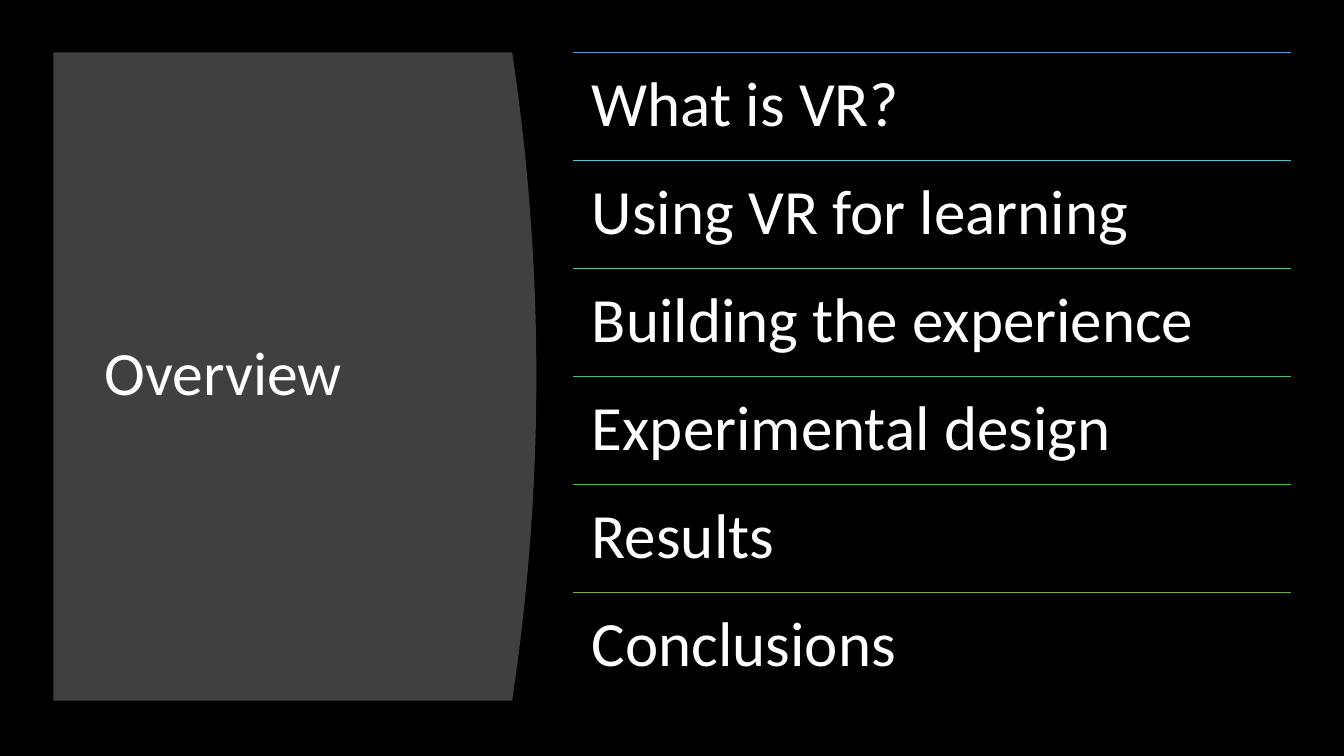
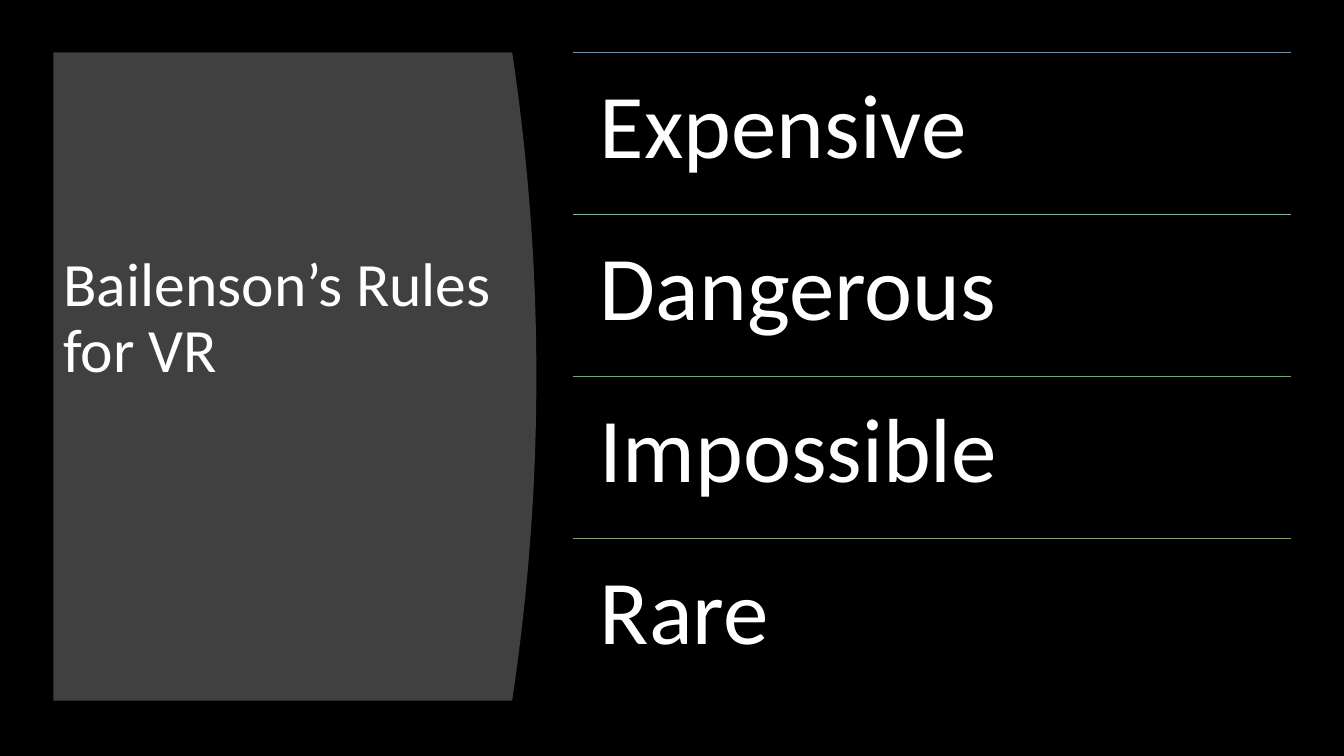
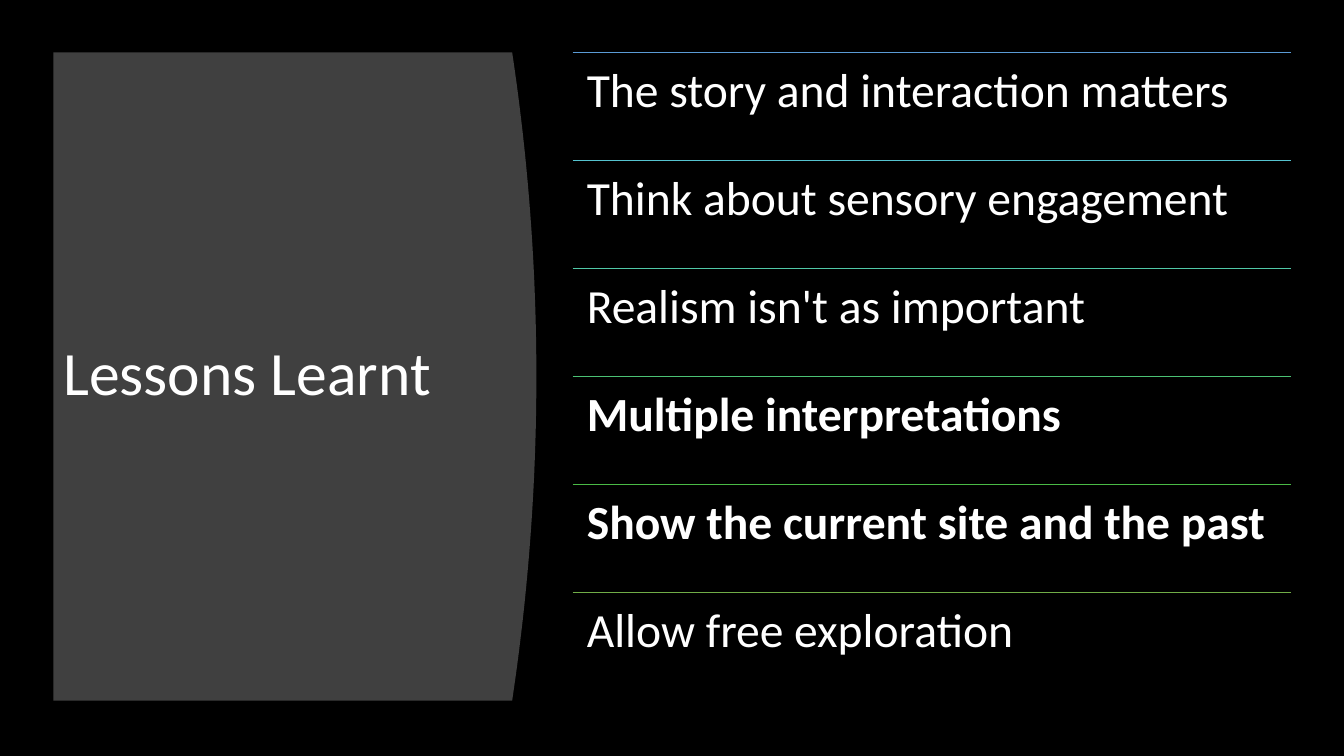
from lxml.etree import SubElement
from pptx import Presentation
from pptx.dml.color import RGBColor
from pptx.enum.shapes import MSO_CONNECTOR
from pptx.enum.text import MSO_ANCHOR
from pptx.oxml.ns import qn
from pptx.util import Inches, Pt

BLACK = RGBColor(0x00, 0x00, 0x00)
WHITE = RGBColor(0xFF, 0xFF, 0xFF)
GREY = RGBColor(0x40, 0x40, 0x40)
BLUE = RGBColor(0x5B, 0x9B, 0xD5)
CYAN = RGBColor(0x55, 0xC3, 0xCF)
TEAL = RGBColor(0x50, 0xC8, 0xA7)
MINT = RGBColor(0x4B, 0xC1, 0x74)
LEAF = RGBColor(0x4A, 0xBA, 0x46)
AQUA = RGBColor(0x52, 0xCA, 0xB8)
JADE = RGBColor(0x49, 0xBF, 0x64)
GREEN = RGBColor(0x70, 0xAD, 0x47)

SIX = [BLUE, CYAN, TEAL, MINT, LEAF, GREEN]
FOUR = [BLUE, AQUA, JADE, GREEN]

SLIDES = [
    {"title": "Overview", "box": (0.94, 1.11, 3.74, 5.24),
     "size": 45, "inset": 0.19, "rules": SIX, "bold": (),
     "rows": ["What is VR?", "Using VR for learning", "Building the experience",
              "Experimental design", "Results", "Conclusions"]},
    {"title": "Bailenson’s Rules for VR", "box": (0.53, 0.55, 5.15, 5.24),
     "size": 65, "inset": 0.27, "rules": FOUR, "bold": (),
     "rows": ["Expensive", "Dangerous", "Impossible", "Rare"]},
    {"title": "Lessons Learnt", "box": (0.53, 1.11, 4.57, 5.24),
     "size": 34, "inset": 0.14, "rules": SIX, "bold": (3, 4),
     "rows": ["The story and interaction matters", "Think about sensory engagement",
              "Realism isn't as important", "Multiple interpretations",
              "Show the current site and the past", "Allow free exploration"]},
]

TOP, TALL = 0.52, 6.43
PANEL_X, EDGE_X, BULGE = 0.53, 5.08, 0.24
LIST_X, LIST_W = 5.68, 7.12
STEPS = 40


def add_panel(slide):
    """Draw the grey panel whose right side bows out as a parabola."""
    edge = [(EDGE_X + BULGE * 4 * t * (1 - t), TOP + TALL * t)
            for t in (i / STEPS for i in range(STEPS + 1))]
    form = slide.shapes.build_freeform(Inches(PANEL_X), Inches(TOP))
    form.add_line_segments([(Inches(x), Inches(y))
                            for x, y in edge + [(PANEL_X, TOP + TALL)]])
    panel = form.convert_to_shape()
    panel.shadow.inherit = False
    panel.fill.solid()
    panel.fill.fore_color.rgb = GREY
    panel.line.fill.background()


def add_text(slide, text, box, size, bold=False, **frame):
    area = slide.shapes.add_textbox(*map(Inches, box)).text_frame
    for name, value in {"word_wrap": True, **frame}.items():
        setattr(area, name, value)
    para = area.paragraphs[0]
    para.line_spacing = 0.9
    run = para.add_run()
    run.text = text
    font = {"name": "Calibri", "size": Pt(size), "bold": bold}
    for name, value in font.items():
        setattr(run.font, name, value)
    run.font.color.rgb = WHITE


def add_rule(slide, y, color):
    rule = slide.shapes.add_connector(
        MSO_CONNECTOR.STRAIGHT,
        *map(Inches, (LIST_X, y, LIST_X + LIST_W, y)))
    rule.line.color.rgb = color
    rule.line.width = Pt(0.5)
    SubElement(rule._element.spPr, qn("a:effectLst"))


def add_list(slide, data):
    """Stack equal rows, each under its own coloured rule."""
    step = TALL / len(data["rows"])
    sides = ("left", "top", "right", "bottom")
    inset = {f"margin_{side}": Inches(data["inset"]) for side in sides}
    for i, (text, color) in enumerate(zip(data["rows"], data["rules"])):
        y = TOP + i * step
        add_rule(slide, y, color)
        add_text(slide, text, (LIST_X, y, LIST_W, step), data["size"],
                 i in data["bold"], **inset)


def main():
    deck = Presentation()
    deck.slide_width, deck.slide_height = Inches(13.33), Inches(7.5)
    for data in SLIDES:
        slide = deck.slides.add_slide(deck.slide_layouts[6])
        slide.background.fill.solid()
        slide.background.fill.fore_color.rgb = BLACK
        add_panel(slide)
        add_text(slide, data["title"], data["box"], 44,
                 vertical_anchor=MSO_ANCHOR.MIDDLE)
        add_list(slide, data)
    deck.save("out.pptx")


if __name__ == "__main__":
    main()
